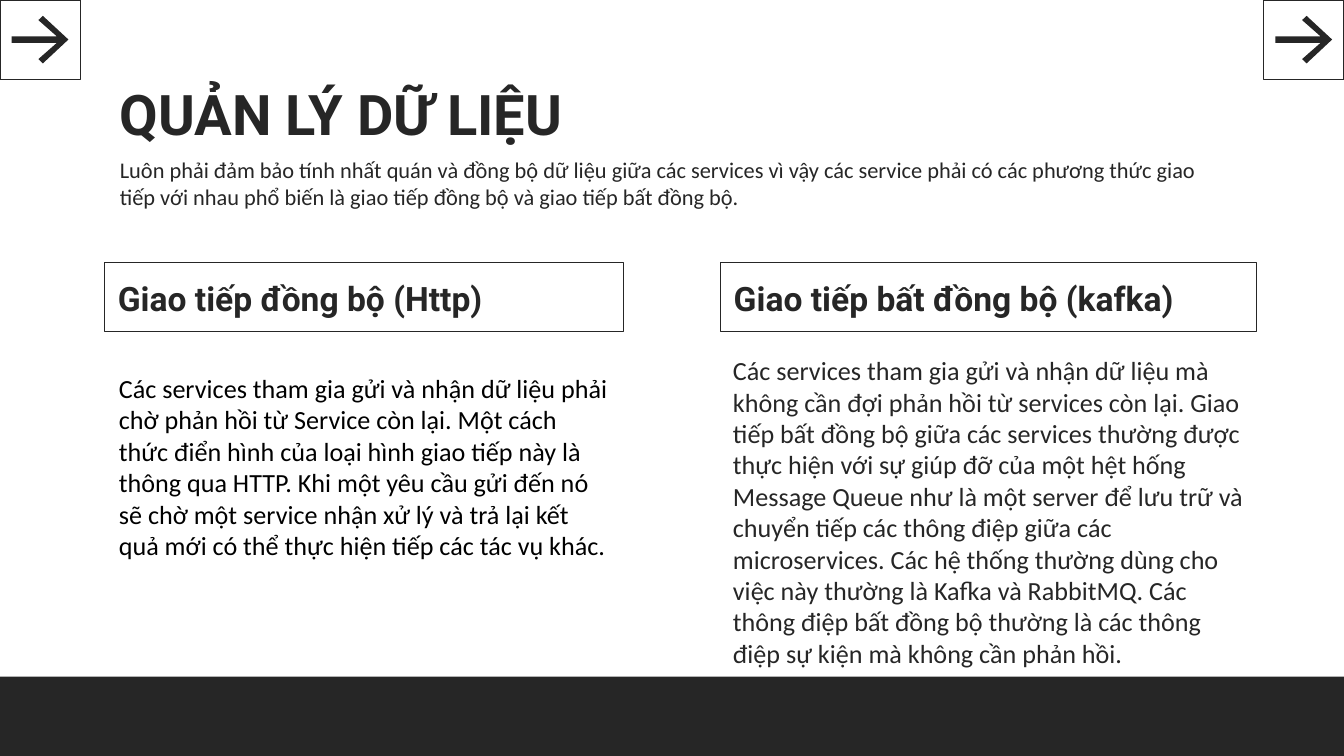
from pptx import Presentation
from pptx.dml.color import RGBColor
from pptx.enum.shapes import MSO_SHAPE
from pptx.enum.text import MSO_ANCHOR, MSO_AUTO_SIZE, PP_ALIGN
from pptx.oxml.ns import qn
from pptx.util import Pt

RECT = MSO_SHAPE.RECTANGLE
TOP, BOTTOM = MSO_ANCHOR.TOP, MSO_ANCHOR.BOTTOM
LEFT = PP_ALIGN.LEFT
FIXED = MSO_AUTO_SIZE.NONE

WIDTH, HEIGHT = 720, 405
DARK, BLACK = "262626", "000000"
HEAD, BODY = "Roboto", "Calibri"
TILE_W, TILE_H = 43, 42.5
ARROW = [(23, 8.5), (36.7, 21.2), (23, 34), (20.6, 31.7), (30.5, 23),
         (6.3, 23), (6.3, 19.5), (30.5, 19.5), (20.6, 10.8)]


def color(code):
    return RGBColor.from_string(code)


def write(shape, text, font=BODY, size=14, ink=DARK, bold=False,
          anchor=TOP, pad=7.2):
    frame = shape.text_frame
    frame.word_wrap = True
    frame.auto_size = FIXED
    frame.vertical_anchor = anchor
    frame.margin_left = frame.margin_right = Pt(7.2)
    frame.margin_top = frame.margin_bottom = Pt(pad)
    frame.text = text
    para = frame.paragraphs[0]
    para.alignment = LEFT
    para.space_before = Pt(0)
    face = para.runs[0].font
    face.name, face.size, face.bold = font, Pt(size), bold
    face.color.rgb = color(ink)


class Deck:
    def __init__(self):
        self.prs = Presentation()
        self.prs.slide_width, self.prs.slide_height = Pt(WIDTH), Pt(HEIGHT)
        self.slide = self.prs.slides.add_slide(self.prs.slide_layouts[1])
        self.shapes = self.slide.shapes

    def paint(self, shape, fill=None, line=None):
        shape.shadow.inherit = False
        if fill:
            shape.fill.solid()
            shape.fill.fore_color.rgb = color(fill)
        else:
            shape.fill.background()
        if line:
            shape.line.color.rgb = color(line)
            shape.line.width = Pt(0.75)
        else:
            shape.line.fill.background()

    def rect(self, x, y, w, h, **look):
        box = self.shapes.add_shape(RECT, Pt(x), Pt(y), Pt(w), Pt(h))
        self.paint(box, **look)
        return box

    def tile(self, x):
        self.rect(x, 0, TILE_W, TILE_H, line=DARK)
        first, *rest = [(Pt(x + dx), Pt(dy)) for dx, dy in ARROW]
        path = self.shapes.build_freeform(*first)
        path.add_line_segments(rest, close=True)
        self.paint(path.convert_to_shape(), fill=DARK)

    def holder(self, index, x, y, w, h, text, **style):
        box = self.slide.placeholders[index]
        box.left, box.top, box.width, box.height = Pt(x), Pt(y), Pt(w), Pt(h)
        write(box, text, **style)
        return box

    def plain(self, *args, **style):
        # Body placeholder without bullet or indent
        box = self.holder(*args, **style)
        props = box.text_frame.paragraphs[0]._p.get_or_add_pPr()
        props.set("marL", "0")
        props.set("indent", "0")
        props.append(props.makeelement(qn("a:buNone"), {}))

    def head(self, x, y, w, h, text):
        box = self.rect(x, y, w, h, line=DARK)
        write(box, text, font=HEAD, size=18, bold=True, anchor=BOTTOM)

    def note(self, x, y, w, h, text, ink=DARK):
        box = self.shapes.add_textbox(Pt(x), Pt(y), Pt(w), Pt(h))
        write(box, text, ink=ink, pad=3.6)


def main():
    deck = Deck()

    # Footer band and corner tiles
    deck.rect(0, 362.5, WIDTH, 42.5, fill=DARK)
    for x in (0, WIDTH - TILE_W):
        deck.tile(x)

    # Title and intro
    deck.holder(0, 57, 35.5, 607, 45, "QUẢN LÝ DỮ LIỆU",
                font=HEAD, size=30, bold=True)
    deck.plain(1, 57, 76.5, 607, 45,
               "Luôn phải đảm bảo tính nhất quán và đồng bộ dữ liệu giữa các "
               "services vì vậy các service phải có các phương thức giao tiếp "
               "với nhau phổ biến là giao tiếp đồng bộ và giao tiếp bất đồng "
               "bộ.", size=12)

    # Synchronous column
    deck.head(56, 140.5, 278, 37, "Giao tiếp đồng bộ (Http)")
    deck.note(56.6, 196, 277.5, 126,
              "Các services tham gia gửi và nhận dữ liệu phải chờ phản hồi từ "
              "Service còn lại. Một cách thức điển hình của loại hình giao "
              "tiếp này là thông qua HTTP. Khi một yêu cầu gửi đến nó sẽ chờ "
              "một service nhận xử lý và trả lại kết quả mới có thể thực hiện "
              "tiếp các tác vụ khác.", ink=BLACK)

    # Asynchronous column
    deck.head(386, 140.5, 287, 37, "Giao tiếp bất đồng bộ (kafka)")
    deck.note(385.6, 186.5, 288, 194,
              "Các services tham gia gửi và nhận dữ liệu mà không cần đợi "
              "phản hồi từ services còn lại. Giao tiếp bất đồng bộ giữa các "
              "services thường được thực hiện với sự giúp đỡ của một hệt hống "
              "Message Queue như là một server để lưu trữ và chuyển tiếp các "
              "thông điệp giữa các microservices. Các hệ thống thường dùng "
              "cho việc này thường là Kafka và RabbitMQ. Các thông điệp bất "
              "đồng bộ thường là các thông điệp sự kiện mà không cần phản "
              "hồi.")

    deck.prs.save("out.pptx")


if __name__ == "__main__":
    main()
